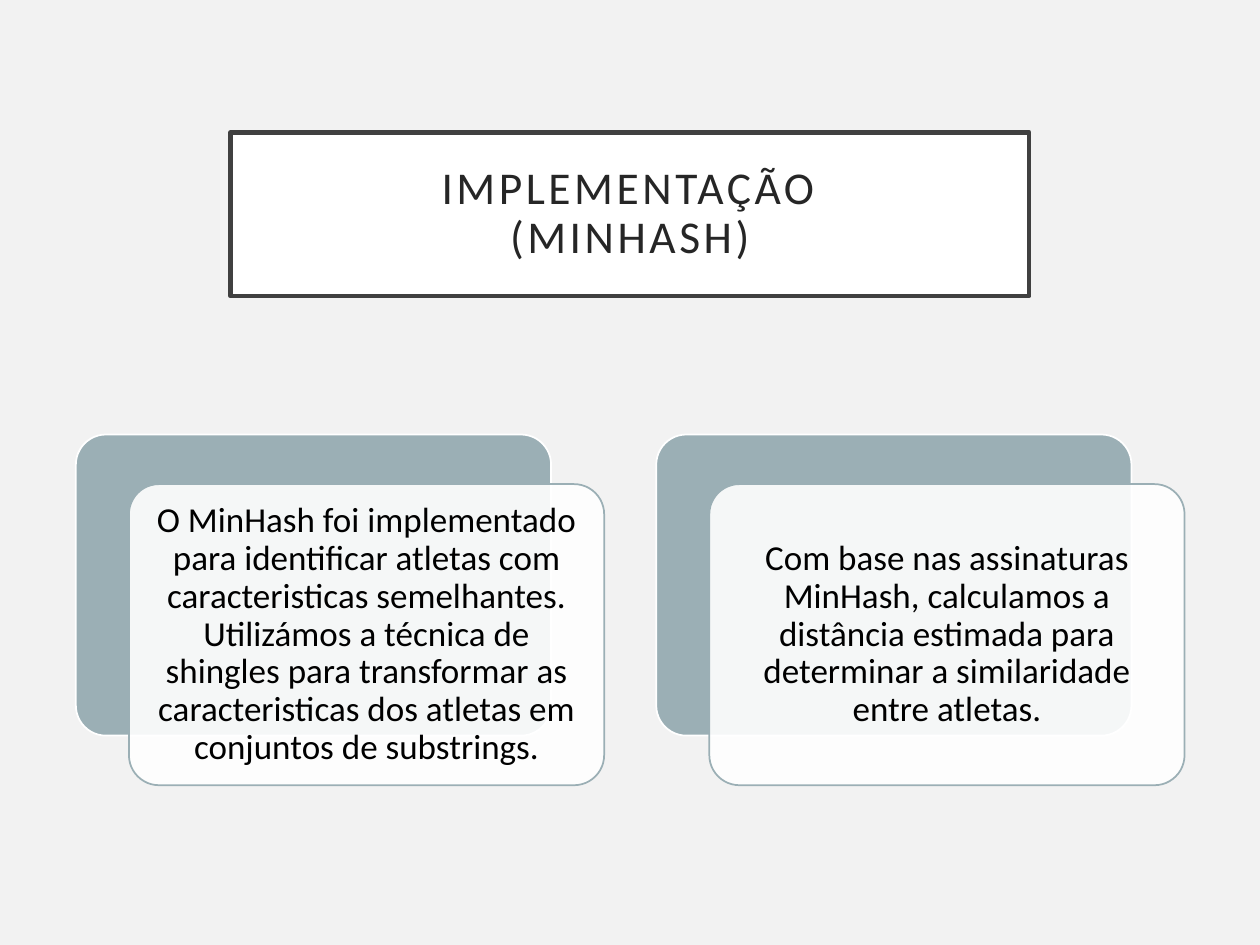
from lxml import etree
from pptx import Presentation
from pptx.dml.color import RGBColor
from pptx.enum.shapes import MSO_SHAPE
from pptx.enum.text import MSO_ANCHOR, PP_ALIGN
from pptx.oxml.ns import qn
from pptx.util import Cm, Pt

RECTANGLE = MSO_SHAPE.RECTANGLE
ROUNDED = MSO_SHAPE.ROUNDED_RECTANGLE
MIDDLE = MSO_ANCHOR.MIDDLE
CENTER = PP_ALIGN.CENTER

FONT = "Calibri"
BACKGROUND = "F2F2F2"
WHITE = "FFFFFF"
ACCENT = "9BAFB5"
TITLE = "IMPLEMENTAÇÃO\v(MINHASH)"
CARD_TEXTS = (
    "O MinHash foi implementado para identificar atletas com caracteristicas "
    "semelhantes. Utilizámos a técnica de shingles para transformar as "
    "caracteristicas dos atletas em conjuntos de substrings.",
    "Com base nas assinaturas MinHash, calculamos a distância estimada para "
    "determinar a similaridade entre atletas.",
)


def color(hex_value):
    """Return the colour for a hex string."""
    return RGBColor.from_string(hex_value)


def add_panel(shapes, kind, box, fill, line, line_width):
    """Add a filled and outlined shape in a box given in centimetres."""
    shape = shapes.add_shape(kind, *map(Cm, box))
    shape.shadow.inherit = False
    shape.fill.solid()
    shape.fill.fore_color.rgb = color(fill)
    shape.line.color.rgb = color(line)
    shape.line.width = Pt(line_width)
    return shape


def set_text(shape, text, size, text_color, inset):
    """Write centred text into a shape and return its runs."""
    frame = shape.text_frame
    frame.word_wrap = True
    frame.vertical_anchor = MIDDLE
    frame.margin_left = frame.margin_right = Cm(inset)
    frame.margin_top = frame.margin_bottom = Cm(inset)
    frame.text = text
    paragraph = frame.paragraphs[0]
    paragraph.alignment = CENTER
    paragraph.line_spacing = 0.9
    for run in paragraph.runs:
        run.font.name = FONT
        run.font.size = Pt(size)
        run.font.color.rgb = color(text_color)
    return paragraph.runs


def add_title(slide, box):
    """Add the framed title with wide letter spacing."""
    shape = add_panel(slide.shapes, RECTANGLE, box, WHITE, "404040", 2.5)
    for run in set_text(shape, TITLE, 26, "262626", 0.51):
        run.font._element.set("spc", "200")


def add_card(slide, box, text):
    """Add a card of two overlapping rounded panels with text in front."""
    left, top, width, height = box
    shift_x, shift_y, padding = 1.07, 1, 0.18
    panel_width, panel_height = width - shift_x, height - shift_y
    front_left, front_top = left + shift_x, top + shift_y
    shapes = slide.shapes.add_group_shape().shapes

    back = add_panel(shapes, ROUNDED, (left, top, panel_width, panel_height),
                     ACCENT, WHITE, 1)
    front = add_panel(shapes, ROUNDED,
                      (front_left, front_top, panel_width, panel_height),
                      WHITE, ACCENT, 1)
    for panel in (back, front):
        panel.adjustments[0] = 0.1
    fill_color = front.fill._xPr.find(qn("a:solidFill"))[0]
    etree.SubElement(fill_color, qn("a:alpha")).set("val", "90000")

    text_box = shapes.add_textbox(
        Cm(front_left + padding), Cm(front_top + padding),
        Cm(panel_width - 2 * padding), Cm(panel_height - 2 * padding))
    set_text(text_box, text, 20, "000000", 0.2)


def main():
    """Build and save the slide."""
    presentation = Presentation()
    presentation.slide_width = Cm(25.4)
    presentation.slide_height = Cm(19.05)
    slide = presentation.slides.add_slide(presentation.slide_layouts[6])
    slide.background.fill.solid()
    slide.background.fill.fore_color.rgb = color(BACKGROUND)

    add_title(slide, (4.65, 2.67, 16.1, 3.3))
    for index, text in enumerate(CARD_TEXTS):
        add_card(slide, (1.53 + index * 11.7, 8.76, 10.65, 7.07), text)

    presentation.save("out.pptx")


if __name__ == "__main__":
    main()
